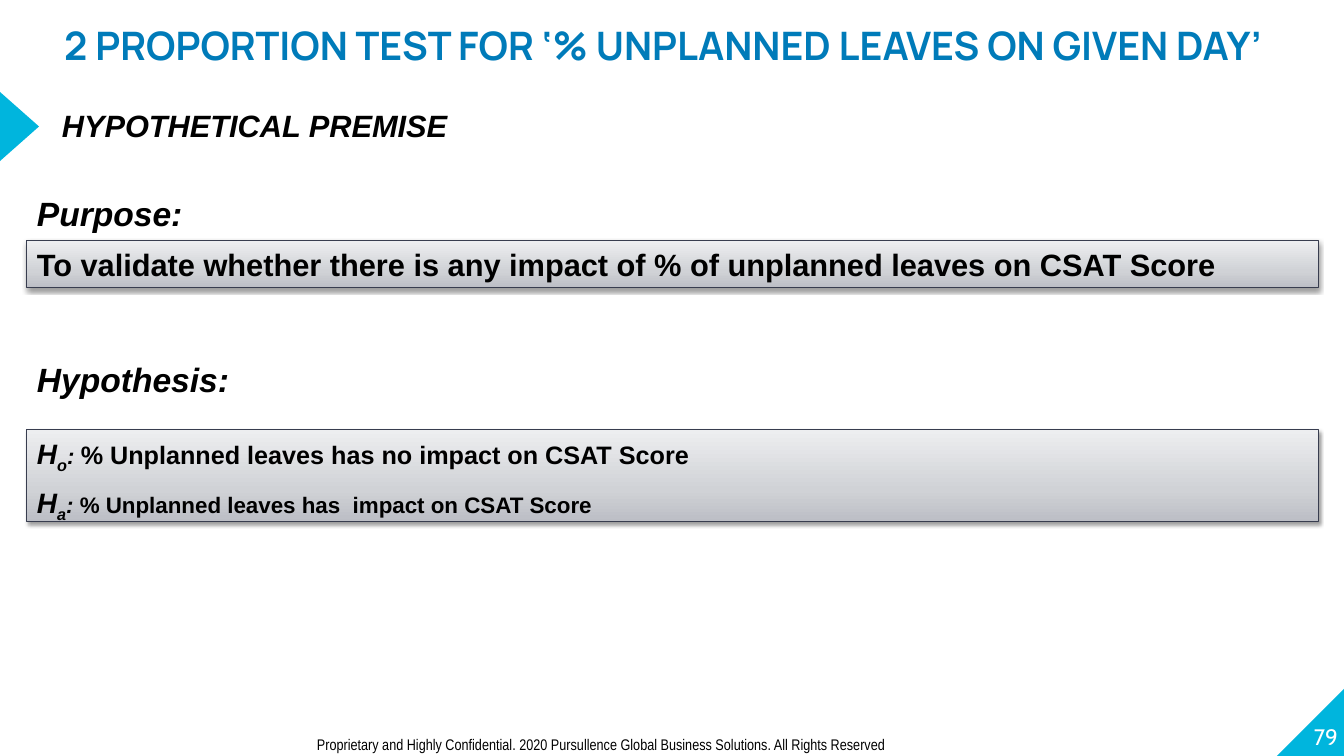
from lxml import etree
from pptx import Presentation
from pptx.dml.color import RGBColor
from pptx.enum.shapes import MSO_SHAPE
from pptx.enum.text import MSO_ANCHOR, PP_ALIGN
from pptx.oxml import parse_xml
from pptx.oxml.ns import qn
from pptx.util import Pt

RECTANGLE, TRIANGLE, CORNER = MSO_SHAPE.RECTANGLE, MSO_SHAPE.ISOSCELES_TRIANGLE, MSO_SHAPE.RIGHT_TRIANGLE
TOP, BOTTOM = MSO_ANCHOR.TOP, MSO_ANCHOR.BOTTOM
LEFT, RIGHT, CENTER = PP_ALIGN.LEFT, PP_ALIGN.RIGHT, PP_ALIGN.CENTER
PX = 914400 / 100.8
NAMESPACE = "http://schemas.openxmlformats.org/drawingml/2006/main"

CYAN, BLUE, BLACK, WHITE, BORDER = "00B5DD", "007BB9", "000000", "FFFFFF", "383D4F"
PANEL_STOPS = [(0, "BCBEC5"), (35, "D0D2D6"), (100, "EDEEF0")]

# Text formats
BODY = {"name": "Arial", "color": BLACK, "bold": True}
STATEMENT = {**BODY, "size": 22}
SUBTITLE = {**STATEMENT, "italic": True}
HEADING = {**SUBTITLE, "size": 24}
SYMBOL = {**SUBTITLE, "size": 20}
SUBSCRIPT = {**SYMBOL, "baseline": -25}
COLON = {**SYMBOL, "size": 16}
TITLE = {"name": "Manrope", "color": BLUE, "bold": True, "size": 28}
FOOTER = {"name": "Arial Narrow", "color": BLACK, "size": 11}
PAGE = {"name": "Cabin", "color": WHITE, "size": 16}

# Content: (left, top, width, height) in px, then the runs of each paragraph
PURPOSE_PANEL = (27, 241, 1292, 47)
PURPOSE = [[("To validate whether there is any impact of % of unplanned leaves on CSAT Score", STATEMENT)]]
HYPOTHESIS_PANEL = (27, 430, 1292, 92)
HYPOTHESES = [
    ("o", "% Unplanned leaves has no impact on CSAT Score", 18),
    ("a", "% Unplanned leaves has  impact on CSAT Score", 16),
]
LABELS = [
    ((52, 102, 537, 47), "HYPOTHETICAL PREMISE", SUBTITLE, {}),
    ((27, 188, 167, 50), "Purpose:", HEADING, {"wrap": False}),
    ((27, 354, 537, 50), "Hypothesis:", HEADING, {}),
    ((307, 730, 858, 29), "Proprietary and Highly Confidential. 2020 Pursullence Global Business Solutions. "
                          "All Rights Reserved", FOOTER, {}),
    ((1271, 681, 67, 69), "79", PAGE, {"align": RIGHT, "anchor": BOTTOM, "inset": 0}),
    ((-13, -2, 1352, 99), "2 PROPORTION TEST FOR ‘% UNPLANNED LEAVES ON GIVEN DAY’", TITLE,
     {"align": CENTER, "inset": 0, "spacing": 1.5}),
]


def rgb(value):
    return RGBColor.from_string(value)


def place(box):
    return [round(length * PX) for length in box]


def write(frame, paragraphs, align=LEFT, anchor=TOP, wrap=True, inset=None, spacing=None, gap=0):
    frame.word_wrap = wrap
    frame.vertical_anchor = anchor
    if inset is not None:
        for side in ("left", "top", "right", "bottom"):
            setattr(frame, "margin_" + side, inset)
    for index, runs in enumerate(paragraphs):
        paragraph = frame.add_paragraph() if index else frame.paragraphs[0]
        paragraph.alignment = align
        if spacing:
            paragraph.line_spacing = spacing
        if index:
            paragraph.space_before = Pt(gap)
        for text, style in runs:
            run = paragraph.add_run()
            run.text = text
            for key, value in style.items():
                if key == "color":
                    run.font.color.rgb = rgb(value)
                elif key == "baseline":
                    run.font._element.set("baseline", str(value * 1000))
                else:
                    setattr(run.font, key, Pt(value) if key == "size" else value)


def add_marker(slide, kind, box):
    marker = slide.shapes.add_shape(kind, *place(box))
    marker.shadow.inherit = False
    marker.fill.solid()
    marker.fill.fore_color.rgb = rgb(CYAN)
    marker.line.fill.background()
    return marker


def add_panel(slide, box, paragraphs, **layout):
    panel = slide.shapes.add_shape(RECTANGLE, *place(box))
    panel.shadow.inherit = False
    panel.line.color.rgb = rgb(BORDER)
    panel.line.width = Pt(0.75)
    # Three-stop gradient, light at the top
    stops = "".join(f'<a:gs pos="{pos * 1000}"><a:srgbClr val="{color}"/></a:gs>' for pos, color in PANEL_STOPS)
    properties = panel.element.spPr
    properties.find(qn("a:prstGeom")).addnext(parse_xml(
        f'<a:gradFill xmlns:a="{NAMESPACE}" rotWithShape="1"><a:gsLst>{stops}</a:gsLst>'
        '<a:lin ang="16200000" scaled="1"/></a:gradFill>'))
    # Soft shadow below
    shadow = etree.SubElement(properties.find(qn("a:effectLst")), qn("a:outerShdw"), blurRad=str(Pt(3.1)),
                              dist=str(Pt(1.6)), dir="5400000", rotWithShape="0")
    tint = etree.SubElement(shadow, qn("a:srgbClr"), val=BLACK)
    etree.SubElement(tint, qn("a:alpha"), val="38000")
    write(panel.text_frame, paragraphs, **layout)


def main():
    deck = Presentation()
    deck.slide_width, deck.slide_height = place((1344, 756))
    slide = deck.slides.add_slide(deck.slide_layouts[6])

    # Corner and arrow markers
    corner = add_marker(slide, CORNER, (1277, 688, 68, 68))
    corner.element.spPr.find(qn("a:xfrm")).set("flipH", "1")
    arrow = add_marker(slide, TRIANGLE, (-15, 107, 69, 39))
    arrow.rotation = 90

    # Panels
    add_panel(slide, PURPOSE_PANEL, PURPOSE)
    hypothesis_lines = [
        [("H", SYMBOL), (index, SUBSCRIPT), (": ", COLON), (claim, {**BODY, "size": size})]
        for index, claim, size in HYPOTHESES
    ]
    add_panel(slide, HYPOTHESIS_PANEL, hypothesis_lines, spacing=1.05, gap=6)

    # Title, headings, footer and page number
    for box, text, style, layout in LABELS:
        label = slide.shapes.add_textbox(*place(box))
        write(label.text_frame, [[(text, style)]], **layout)

    deck.save("out.pptx")


if __name__ == "__main__":
    main()
